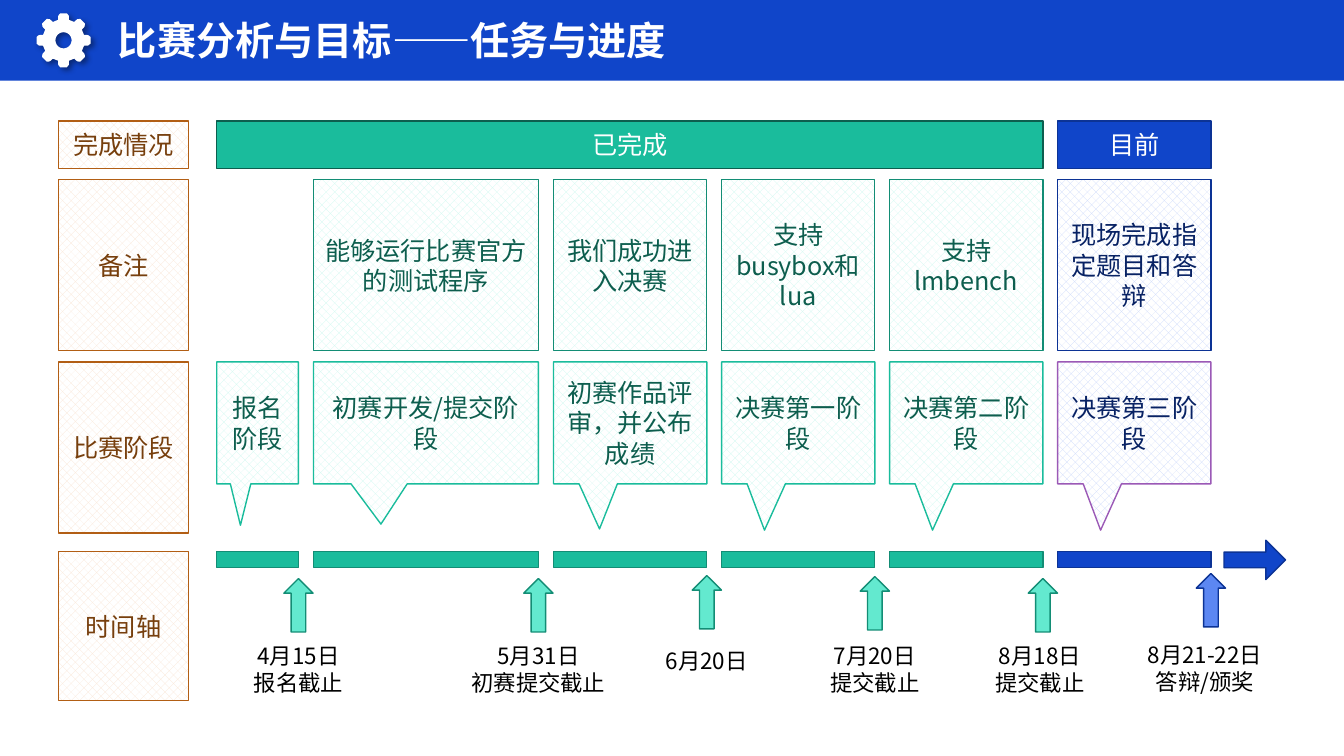
from dataclasses import dataclass
from math import cos, radians, sin
from typing import NamedTuple

from lxml.etree import SubElement
from pptx import Presentation
from pptx.dml.color import RGBColor as RGB
from pptx.enum.dml import MSO_PATTERN as Pattern
from pptx.enum.shapes import MSO_SHAPE as Preset
from pptx.enum.text import MSO_ANCHOR as Anchor, PP_ALIGN as Align
from pptx.oxml.ns import qn
from pptx.util import Inches, Pt

COLORS = {
    "white": "FFFFFF", "black": "000000", "blue": "1045C9", "blue edge": "0C3395",
    "blue ink": "082264", "blue weave": "C9D7FB", "blue arrow": "5C87F2",
    "green": "1ABC9C", "green edge": "138D75", "green ink": "0D5E4E",
    "green weave": "CBF8EF", "green arrow": "63E9CF", "purple": "9B59B6",
    "orange edge": "B25E14", "orange ink": "773F0D", "orange weave": "FAE5D3",
}
BODY_FONT = "Noto Sans CJK SC"
TITLE_FONT = "Arial"


class Column(NamedTuple):
    left: float
    width: float

    @property
    def right(self) -> float:
        return self.left + self.width


class Row(NamedTuple):
    top: float
    height: float


class Style(NamedTuple):
    fill: str
    edge: str
    ink: str = "white"
    woven: bool = False


@dataclass
class Stage:
    column: Column
    name: str
    note: str
    tip: tuple[float, float]
    deadline: list[str]
    arrow_top: float
    label_width: float
    label_top: float = 6.32
    label_shift: float = 0
    current: bool = False


# Grid: a heading column, two wide-ranging columns, then four equal ones
HEADINGS = Column(0.58, 1.29)
SIGN_UP = Column(2.15, 0.81)
DEVELOPMENT = Column(3.11, 2.23)
REVIEW, FINAL_1, FINAL_2, FINAL_3 = (Column(5.49 + i * 5 / 3, 1.52) for i in range(4))
COMPLETED = Column(SIGN_UP.left, FINAL_2.right - SIGN_UP.left)

STATUS = Row(1.2, 0.47)
NOTES = Row(1.78, 1.7)
STAGES = Row(3.59, 1.7)
CALLOUTS = Row(3.59, 1.21)
TIMELINE = Row(5.47, 1.48)
BARS = Row(5.47, 0.16)
ARROW_SIZE = (0.29, 0.53)

HEADING = Style("orange weave", "orange edge", "orange ink", True)
NOTE = {False: Style("green weave", "green edge", "green ink", True),
        True: Style("blue weave", "blue edge", "blue ink", True)}
CALLOUT = {False: Style("green weave", "green", "green ink", True),
           True: Style("blue weave", "purple", "blue ink", True)}
BAR = {False: Style("green", "green edge"), True: Style("blue", "blue edge")}
ARROW = {False: Style("green arrow", "green edge"), True: Style("blue arrow", "blue edge")}

ROW_HEADINGS = [("完成情况", STATUS), ("备注", NOTES), ("比赛阶段", STAGES), ("时间轴", TIMELINE)]
COMPETITION = [
    Stage(SIGN_UP, "报名阶段", "", (-0.21, 0.84), ["4月15日", "报名截止"], 5.74, 1.13),
    Stage(DEVELOPMENT, "初赛开发/提交阶段", "能够运行比赛官方的测试程序", (-0.2, 0.83),
          ["5月31日", "初赛提交截止"], 5.74, 1.55),
    Stage(REVIEW, "初赛作品评审，并公布成绩", "我们成功进入决赛", (-0.2, 0.87),
          ["6月20日"], 5.71, 1.05, 6.37),
    Stage(FINAL_1, "决赛第一阶段", "支持busybox和lua", (-0.22, 0.88),
          ["7月20日", "提交截止"], 5.72, 1.1),
    Stage(FINAL_2, "决赛第二阶段", "支持lmbench", (-0.22, 0.88),
          ["8月18日", "提交截止"], 5.74, 1.1, label_shift=-0.03),
    Stage(FINAL_3, "决赛第三阶段", "现场完成指定题目和答辩", (-0.22, 0.88),
          ["8月21-22日", "答辩/颁奖"], 5.69, 1.4, 6.31, -0.06, True),
]

deck = Presentation()
deck.slide_width, deck.slide_height = Inches(13.33), Inches(7.5)
shapes = deck.slides.add_slide(deck.slide_layouts[6]).shapes


def color(name: str) -> RGB:
    return RGB.from_string(COLORS[name])


def write(frame, lines: list[str], size: float, ink: str, align=Align.CENTER,
          font: str = BODY_FONT, bold: bool = False) -> None:
    frame.word_wrap = True
    for i, line in enumerate(lines):
        paragraph = frame.paragraphs[0] if i == 0 else frame.add_paragraph()
        paragraph.text = line
        paragraph.alignment = align
        paragraph.font.size = Pt(size)
        paragraph.font.bold = bold
        paragraph.font.color.rgb = color(ink)
        paragraph.font.name = font
        if font == BODY_FONT:
            defaults = paragraph._p.pPr.find(qn("a:defRPr"))
            SubElement(defaults, qn("a:ea"), typeface=font)


def draw(preset: Preset, column: Column, row: Row, style: Style, text: str = "",
         adjust: tuple[float, ...] = ()) -> None:
    shape = shapes.add_shape(preset, Inches(column.left), Inches(row.top),
                             Inches(column.width), Inches(row.height))
    shape.shadow.inherit = False
    for i, value in enumerate(adjust):
        shape.adjustments[i] = value
    if style.woven:
        shape.fill.patterned()
        shape.fill.pattern = Pattern.WEAVE
        shape.fill.back_color.rgb = color("white")
    else:
        shape.fill.solid()
    shape.fill.fore_color.rgb = color(style.fill)
    if style.edge:
        shape.line.color.rgb = color(style.edge)
        shape.line.width = Pt(1)
    else:
        shape.line.fill.background()
    if text:
        shape.text_frame.vertical_anchor = Anchor.MIDDLE
        write(shape.text_frame, [text], 18, style.ink)


def add_text(column: Column, row: Row):
    return shapes.add_textbox(Inches(column.left), Inches(row.top),
                              Inches(column.width), Inches(row.height)).text_frame


def draw_gear(center_x: float, center_y: float) -> None:
    def at(radius: float, angle: float) -> tuple[int, int]:
        return (Inches(center_x + radius * cos(radians(angle))),
                Inches(center_y + radius * sin(radians(angle))))

    tooth = [(-15, 0.21), (-12, 0.25), (-7, 0.27), (7, 0.27), (12, 0.25), (15, 0.21)]
    rim = [at(radius, 45 * i + turn) for i in range(8) for turn, radius in tooth]
    hole = [at(0.08, -10 * i) for i in range(36)]
    builder = shapes.build_freeform(*rim[0])
    builder.add_line_segments(rim[1:], close=True)
    builder.move_to(*hole[0])
    builder.add_line_segments(hole[1:], close=True)
    gear = builder.convert_to_shape()
    gear.fill.solid()
    gear.fill.fore_color.rgb = color("white")
    gear.line.fill.background()
    gear.shadow.inherit = False
    effects = gear._element.spPr.find(qn("a:effectLst"))
    shadow = SubElement(effects, qn("a:outerShdw"), blurRad=str(Pt(4)), dist=str(Pt(3)),
                        dir="2700000", algn="tl", rotWithShape="0")
    tint = SubElement(shadow, qn("a:srgbClr"), val=COLORS["black"])
    SubElement(tint, qn("a:alpha"), val="40000")


# Title band
draw(Preset.RECTANGLE, Column(0, 13.33), Row(0, 0.8), Style("blue", ""))
title = add_text(Column(1.1, 8.99), Row(0.12, 0.54))
title.margin_left = title.margin_right = Inches(0.07)
title.margin_top = title.margin_bottom = Inches(0.04)
write(title, ["比赛分析与目标——任务与进度"], 28, "white", Align.JUSTIFY, TITLE_FONT, True)
draw_gear(0.63, 0.4)

# Row headings and status
for heading, row in ROW_HEADINGS:
    draw(Preset.RECTANGLE, HEADINGS, row, HEADING, heading)
draw(Preset.RECTANGLE, COMPLETED, STATUS, Style("green", "green ink"), "已完成")
draw(Preset.RECTANGLE, FINAL_3, STATUS, BAR[True], "目前")

# Stages with notes, timeline bars and deadlines
for stage in COMPETITION:
    column, current = stage.column, stage.current
    if stage.note:
        draw(Preset.RECTANGLE, column, NOTES, NOTE[current], stage.note)
    draw(Preset.RECTANGULAR_CALLOUT, column, CALLOUTS, CALLOUT[current], stage.name, stage.tip)
    draw(Preset.RECTANGLE, column, BARS, BAR[current])
    arrow_width, arrow_height = ARROW_SIZE
    draw(Preset.UP_ARROW, Column(column.right - arrow_width / 2, arrow_width),
         Row(stage.arrow_top, arrow_height), ARROW[current])
    label_left = column.right + stage.label_shift - stage.label_width / 2
    label = add_text(Column(label_left, stage.label_width), Row(stage.label_top, 0.64))
    write(label, stage.deadline, 16, "black")

# End of the timeline
draw(Preset.RIGHT_ARROW, Column(12.14, 0.61), Row(5.36, 0.39), BAR[True], adjust=(0.4, 0.5))

deck.save("out.pptx")
